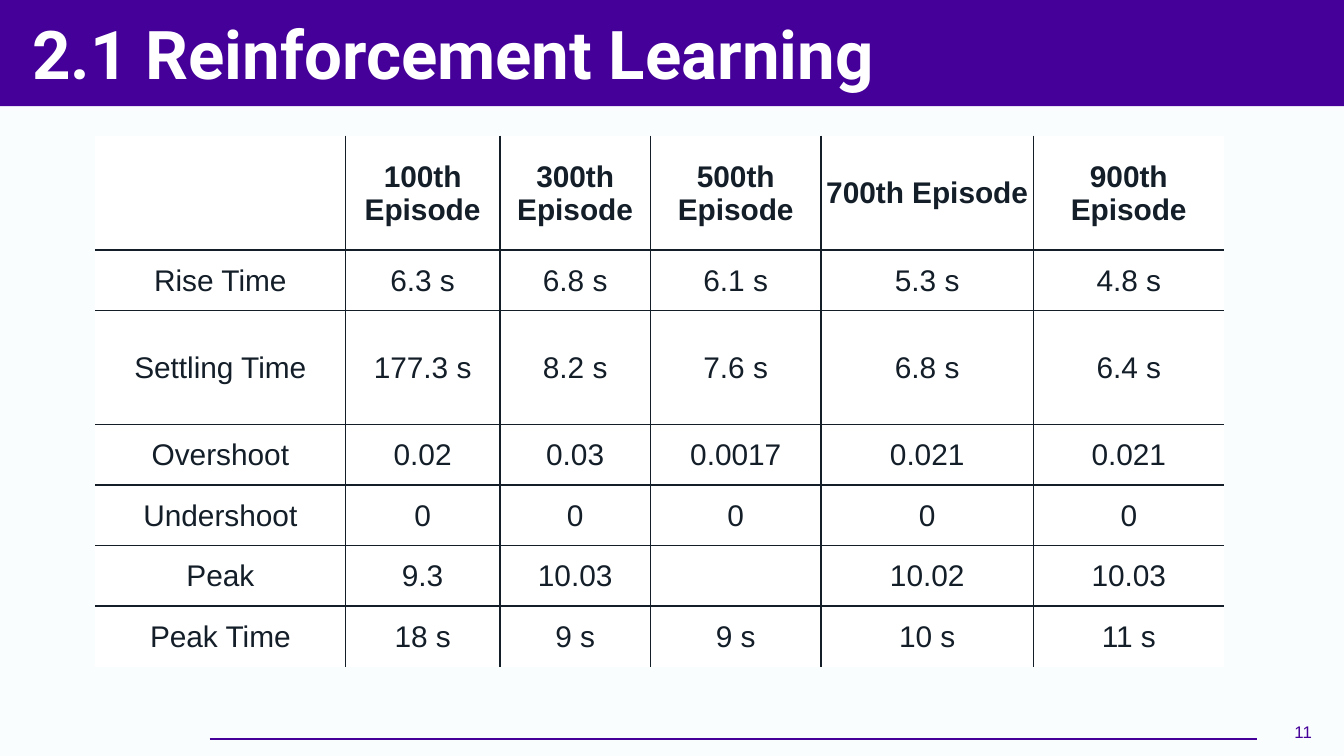
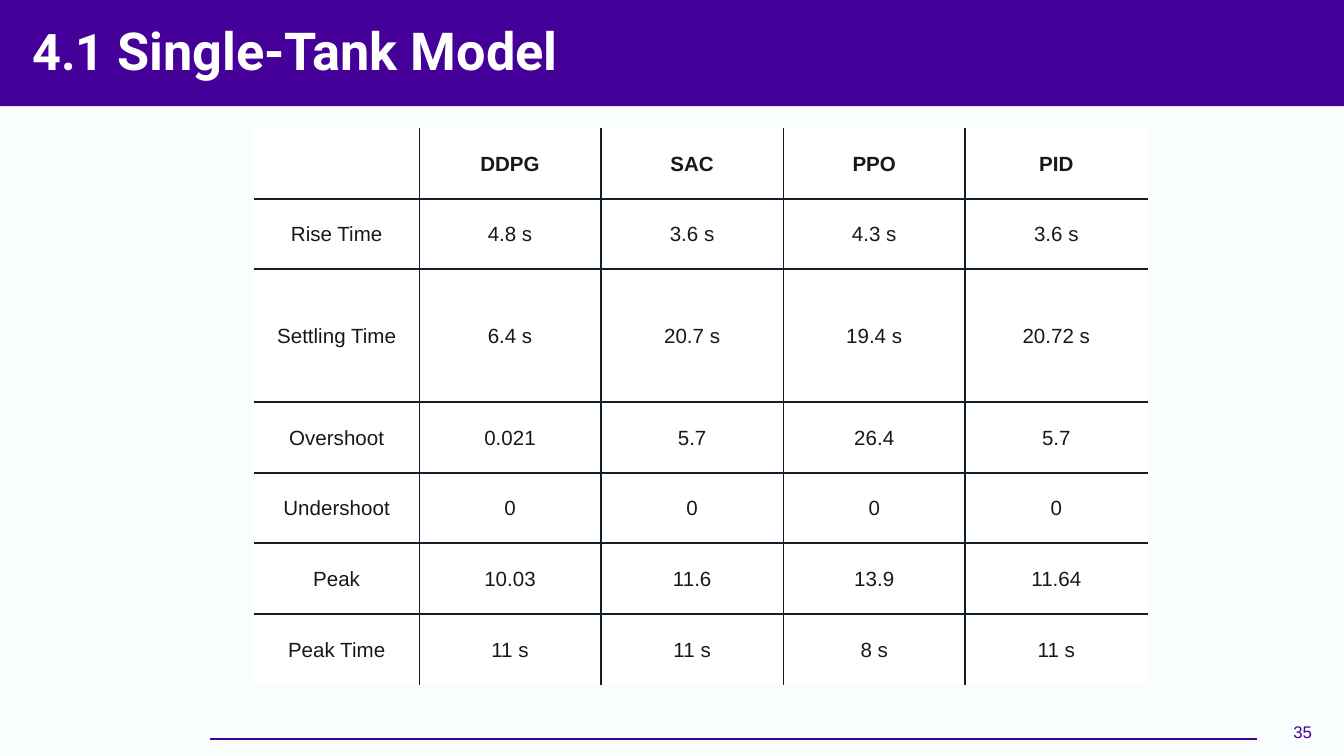
"""Build two result-table slides that share a title band, footer rule and page number."""
import dataclasses
import typing

import lxml.etree
import pptx
import pptx.dml.color
import pptx.enum.shapes
import pptx.enum.text
import pptx.oxml.ns
import pptx.slide
import pptx.util

PX = 9144
SLIDE_WIDTH = 1000
COLOURS = {
    "background": "FAFDFE",
    "purple": "440099",
    "white": "FFFFFF",
    "grid": "131E29",
    "ink": "161819",
}
MIDDLE = pptx.enum.text.MSO_ANCHOR.MIDDLE
ALIGN = pptx.enum.text.PP_ALIGN
FRAME_FORMAT = {
    "word_wrap": True,
    "auto_size": pptx.enum.text.MSO_AUTO_SIZE.NONE,
    "vertical_anchor": MIDDLE,
    "margin_left": 10 * PX,
    "margin_right": 10 * PX,
    "margin_top": 10 * PX,
    "margin_bottom": 10 * PX,
}
CELL_FORMAT = {
    "vertical_anchor": MIDDLE,
    "margin_left": PX,
    "margin_right": PX,
    "margin_top": PX,
    "margin_bottom": 0,
}
PAGE_FORMAT = {
    "alignment": ALIGN.RIGHT,
    "line_spacing": 0.9,
    "space_after": pptx.util.Pt(6),
}


class TitlePart(typing.NamedTuple):
    """A stretch of the title in one size."""

    words: str
    size: int


@dataclasses.dataclass(frozen=True)
class Results:
    """A table of measures by column heading."""

    left: int
    top: int
    columns: list[int]
    rows: list[int]
    size: int
    colour: str
    cells: list[list[str]]


@dataclasses.dataclass(frozen=True)
class Page:
    """The contents of one slide."""

    number: int
    title: list[TitlePart]
    title_spacing: float
    results: Results


PAGES = [
    Page(
        11,
        [TitlePart("2.1 Reinforcement Learning", 36)],
        1.0,
        Results(
            71, 101, [186, 115, 112, 127, 158, 142], [85, 45, 85, 45, 45, 45, 45], 16, "grid",
            [
                ["", *(f"{count}th Episode" for count in range(100, 1000, 200))],
                ["Rise Time", "6.3 s", "6.8 s", "6.1 s", "5.3 s", "4.8 s"],
                ["Settling Time", "177.3 s", "8.2 s", "7.6 s", "6.8 s", "6.4 s"],
                ["Overshoot", "0.02", "0.03", "0.0017", "0.021", "0.021"],
                ["Undershoot", "0", "0", "0", "0", "0"],
                ["Peak", "9.3", "10.03", "", "10.02", "10.03"],
                ["Peak Time", "18 s", "9 s", "9 s", "10 s", "11 s"],
            ],
        ),
    ),
    Page(
        35,
        [TitlePart("4.1 ", 27), TitlePart("Single-Tank Model", 28)],
        0.9,
        Results(
            189, 95, [123, 135, 136, 135, 136], [53, 52, 99, 53, 52, 53, 53], 11, "ink",
            [
                ["", "DDPG", "SAC", "PPO", "PID"],
                ["Rise Time", "4.8 s", "3.6 s", "4.3 s", "3.6 s"],
                ["Settling Time", "6.4 s", "20.7 s", "19.4 s", "20.72 s"],
                ["Overshoot", "0.021", "5.7", "26.4", "5.7"],
                ["Undershoot", "0", "0", "0", "0"],
                ["Peak", "10.03", "11.6", "13.9", "11.64"],
                ["Peak Time", "11 s", "11 s", "8 s", "11 s"],
            ],
        ),
    ),
]


def rgb(colour: str) -> pptx.dml.color.RGBColor:
    """Look up a named colour."""
    return pptx.dml.color.RGBColor.from_string(COLOURS[colour])


def scaled(*lengths: int) -> list[int]:
    """Turn px into EMU."""
    return [length * PX for length in lengths]


def apply(target: typing.Any, formats: dict[str, typing.Any]) -> None:
    """Set each format value on the target."""
    for name, value in formats.items():
        setattr(target, name, value)


def write(paragraph: typing.Any, words: str, face: str, size: int, colour: str, bold: bool) -> None:
    """Add a formatted run to a paragraph."""
    run = paragraph.add_run()
    run.text = words
    apply(run.font, {"name": face, "size": pptx.util.Pt(size), "bold": bold})
    run.font.color.rgb = rgb(colour)


def draw_title(slide: pptx.slide.Slide, page: Page) -> None:
    """Fill the title placeholder and lay the band behind it."""
    title = slide.shapes.title
    apply(title, dict(zip(("left", "top", "width", "height"), scaled(14, 8, 896, 63))))
    apply(title.text_frame, FRAME_FORMAT)
    heading = title.text_frame.paragraphs[0]
    apply(heading, {"alignment": ALIGN.LEFT, "line_spacing": page.title_spacing})
    for part in page.title:
        write(heading, part.words, "Roboto", part.size, "white", True)

    band = slide.shapes.add_shape(
        pptx.enum.shapes.MSO_SHAPE.RECTANGLE, *scaled(-2, 0, SLIDE_WIDTH + 4, 79)
    )
    band.shadow.inherit = False
    band.fill.solid()
    band.fill.fore_color.rgb = rgb("purple")
    band.line.fill.background()
    title.element.addprevious(band.element)


def draw_footer(slide: pptx.slide.Slide, number: int) -> None:
    """Draw the footer rule and the page number."""
    rule = slide.shapes.add_connector(
        pptx.enum.shapes.MSO_CONNECTOR.STRAIGHT, *scaled(156, 550, 935, 550)
    )
    rule.line.width = pptx.util.Pt(0.75)
    rule.line.color.rgb = rgb("purple")
    lxml.etree.SubElement(rule.element.spPr, pptx.oxml.ns.qn("a:effectLst"))

    page_number = slide.shapes.add_textbox(*scaled(935, 524, 51, 43))
    apply(page_number.text_frame, FRAME_FORMAT)
    paragraph = page_number.text_frame.paragraphs[0]
    apply(paragraph, PAGE_FORMAT)
    write(paragraph, str(number), "Arial", 9, "purple", False)


def rule_cell(cell: typing.Any, inner_sides: dict[str, bool]) -> None:
    """Draw grid lines on inner sides of a cell and none on outer ones."""
    properties = cell._tc.get_or_add_tcPr()
    for side, inner in inner_sides.items():
        border = lxml.etree.SubElement(
            properties, pptx.oxml.ns.qn(f"a:ln{side}"), w=str(pptx.util.Pt(1))
        )
        fill = lxml.etree.SubElement(
            border, pptx.oxml.ns.qn("a:solidFill" if inner else "a:noFill")
        )
        if inner:
            lxml.etree.SubElement(fill, pptx.oxml.ns.qn("a:srgbClr"), val=COLOURS["grid"])


def draw_results(slide: pptx.slide.Slide, results: Results) -> None:
    """Draw the table of results."""
    last_row, last_column = len(results.rows) - 1, len(results.columns) - 1
    grid = slide.shapes.add_table(
        last_row + 1,
        last_column + 1,
        *scaled(results.left, results.top, sum(results.columns), sum(results.rows)),
    ).table
    apply(grid, {"first_row": False, "horz_banding": False})
    for column, width in zip(grid.columns, scaled(*results.columns)):
        column.width = width
    for row, height in zip(grid.rows, scaled(*results.rows)):
        row.height = height
    for r, values in enumerate(results.cells):
        for c, value in enumerate(values):
            cell = grid.cell(r, c)
            rule_cell(cell, {"L": c > 0, "R": c < last_column, "T": r > 0, "B": r < last_row})
            cell.fill.solid()
            cell.fill.fore_color.rgb = rgb("white")
            apply(cell, CELL_FORMAT)
            if value:
                paragraph = cell.text_frame.paragraphs[0]
                paragraph.alignment = ALIGN.CENTER
                write(paragraph, value, "Arial", results.size, results.colour, r == 0)


def main() -> None:
    """Build and save the presentation."""
    deck = pptx.Presentation()
    deck.slide_width = SLIDE_WIDTH * PX
    deck.slide_height = SLIDE_WIDTH * PX * 9 // 16
    backdrop = deck.slide_master.background.fill
    backdrop.solid()
    backdrop.fore_color.rgb = rgb("background")
    title_only = deck.slide_layouts.get_by_name("Title Only")
    for page in PAGES:
        slide = deck.slides.add_slide(title_only)
        draw_title(slide, page)
        draw_footer(slide, page.number)
        draw_results(slide, page.results)
    deck.save("out.pptx")


if __name__ == "__main__":
    main()
